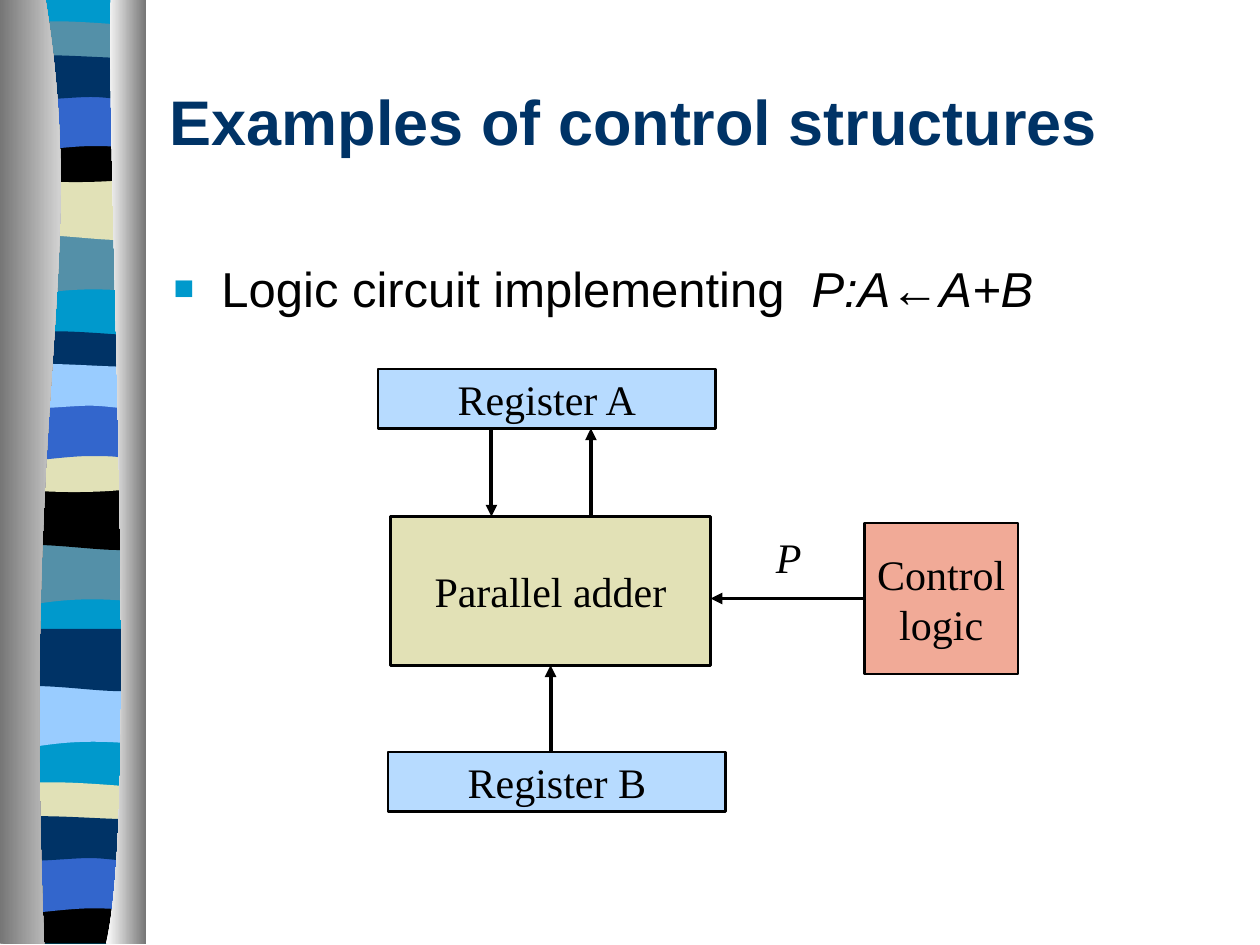
import pptx
import pptx.util
import pptx.dml.color
import pptx.enum.shapes
import pptx.enum.text
import pptx.oxml.ns
from lxml import etree

Inches = pptx.util.Inches
Pt = pptx.util.Pt
qn = pptx.oxml.ns.qn
ALIGN = pptx.enum.text.PP_ALIGN
ANCHOR = pptx.enum.text.MSO_ANCHOR

# Outlines of the ribbon bands: a one-point step is a straight line,
# a three-point step is a Bezier curve (two controls and an end)
ROLL = [[(1.14, 1.85)], [(1.14, 2.32)],
        [(0.39, 2.24), (0.24, 2.4), (0.06, 2.32)], [(0.06, 1.85)]]
SWING = [[(1.14, 1.41)], [(1.14, 1.88)],
         [(0.96, 1.96), (0.39, 1.82), (0.06, 1.88)], [(0.06, 1.41)]]
CREST = [[(1.14, 0.21)], [(1.14, 0.45)],
         [(0.96, 0.49), (0.24, 0.49), (0.06, 0.45)], [(0.06, 0.21)],
         [(0.12, 0.16), (0.29, 0.17), (0.47, 0.17)],
         [(0.65, 0.17), (1, 0.2), (1.14, 0.21)]]
BOWL = [[(1.14, 1.08)], [(1.14, 1.4)],
        [(0.96, 1.46), (0.24, 1.46), (0.06, 1.4)], [(0.06, 1.08)],
        [(0.72, 1.13), (0.91, 1.08), (1.14, 1.08)]]
ARCH = [[(1.14, 0.74)], [(1.14, 1.21)],
        [(0.97, 1.16), (0.9, 1.16), (0.72, 1.16)],
        [(0.54, 1.16), (0.22, 1.21), (0.06, 1.21)], [(0.06, 0.74)]]
RIPPLE = [[(1.14, 0.46)], [(1.14, 0.77)],
          [(1.07, 0.82), (0.9, 0.77), (0.72, 0.77)],
          [(0.54, 0.77), (0.17, 0.82), (0.06, 0.77)], [(0.06, 0.46)],
          [(0.21, 0.41), (0.79, 0.46), (0.97, 0.46)],
          [(1.15, 0.46), (1.1, 0.46), (1.14, 0.46)]]
LAST = [[(1.14, 1.08)], [(1.14, 1.45)], [(0.06, 1.45)]] + BOWL[3:]

# Bands from back to front: outline, colour, shift right, shift down
BANDS = [
    (ROLL, "5490A8", 0, 0), (SWING, "E1E1B7", 0, 0), (CREST, "5490A8", 0, 0),
    (BOWL, "000000", 0, 0), (ARCH, "3366CC", 0, 0), (RIPPLE, "003366", 0, 0),
    (ROLL, "5490A8", -0.01, 2.46), (SWING, "000000", -0.01, 2.46),
    (CREST, "003366", -0.01, 2.46), (BOWL, "E1E1B7", -0.01, 2.46),
    (ARCH, "3366CC", -0.01, 2.46), (RIPPLE, "99CCFF", -0.01, 2.45),
    (ROLL, "99CCFF", 0, 3.59), (SWING, "003366", 0, 3.58),
    (CREST, "E1E1B7", -0.01, 6.04), (LAST, "000000", -0.01, 6.04),
    (ARCH, "3366CC", -0.01, 6.05), (RIPPLE, "003366", -0.01, 6.04),
]


def color(hex_value):
    return pptx.dml.color.RGBColor.from_string(hex_value)


def add_outline(group, steps, right=0, down=0):
    points = [(Inches(x + right), Inches(y + down)) for step in steps for x, y in step]
    builder = group.shapes.build_freeform(*points[0])
    builder.add_line_segments(points[1:], close=True)
    outline = builder.convert_to_shape()
    outline.shadow.inherit = False
    outline.line.fill.background()

    # Merge the three points of each curved step into one Bezier segment
    segments = iter(list(outline._element.iter(qn("a:lnTo"))))
    for step in steps[1:]:
        parts = [next(segments) for _ in step]
        if len(parts) == 3:
            bezier = etree.Element(qn("a:cubicBezTo"))
            parts[0].addprevious(bezier)
            for part in parts:
                bezier.append(part[0])
                part.getparent().remove(part)
    return outline


def fill_solid(shape, hex_value):
    shape.fill.solid()
    shape.fill.fore_color.rgb = color(hex_value)


def write(shape, text, size, font="Times New Roman", ink="000000", bold=False,
          italic=False, align=ALIGN.LEFT, anchor=ANCHOR.TOP, wrap=True):
    """Add to the first paragraph of a shape; a line feed becomes a line break."""
    frame = shape.text_frame
    frame.word_wrap = wrap
    frame.vertical_anchor = anchor
    paragraph = frame.paragraphs[0]
    paragraph.alignment = align
    for number, line in enumerate(text.split("\n")):
        if number:
            paragraph.add_line_break()
        run = paragraph.add_run()
        run.text = line
        run.font.name, run.font.size = font, Pt(size)
        run.font.bold, run.font.italic = bold, italic
        run.font.color.rgb = color(ink)


def add_text_box(slide, box):
    return slide.shapes.add_textbox(*map(Inches, box))


def add_ribbon(slide, box):
    left, top, width, height = box
    right, bottom = left + width, top + height
    ribbon = slide.shapes.add_group_shape()

    # Backdrop and coloured bands
    backdrop = add_outline(ribbon, [[(1.14, top)], [(1.14, bottom)],
                                    [(0.06, bottom)], [(0.06, top)]])
    fill_solid(backdrop, "0099CC")
    for steps, fill, shift_right, shift_down in BANDS:
        fill_solid(add_outline(ribbon, steps, shift_right, shift_down), fill)

    # Grey curtains on both sides
    left_edge = [[(0.36, top)], [(0.71, 2.16), (0.17, 2.96), (0.35, bottom)]]
    right_edge = [[(0.88, top)], [(0.84, 1.25), (1.11, 6.46), (0.84, bottom)]]
    for edge, side, shades in ((left_edge, left, ("767676", "FFFFFF")),
                               (right_edge, right, ("FFFFFF", "767676"))):
        curtain = add_outline(ribbon, edge + [[(side, bottom)], [(side, top)]])
        curtain.fill.gradient()
        curtain.fill.gradient_angle = 0
        for stop, shade in zip(curtain.fill.gradient_stops, shades):
            stop.color.rgb = color(shade)


def add_title(slide, box):
    write(add_text_box(slide, box), "Examples of control structures", 36,
          font="Arial", ink="003366", bold=True, anchor=ANCHOR.MIDDLE)


def add_body(slide, box):
    body = add_text_box(slide, box)
    properties = body.text_frame.paragraphs[0]._p.get_or_add_pPr()
    properties.set("marL", str(Inches(0.38)))
    properties.set("indent", str(Inches(-0.38)))
    bullet_color = etree.SubElement(properties, qn("a:buClr"))
    etree.SubElement(bullet_color, qn("a:srgbClr"), val="0099CC")
    etree.SubElement(properties, qn("a:buSzPct"), val="70000")
    etree.SubElement(properties, qn("a:buFont"), typeface="Arial")
    etree.SubElement(properties, qn("a:buChar"), char="■")
    write(body, "Logic circuit implementing  ", 28, font="Arial")
    write(body, "P:A←A+B", 28, font="Arial", italic=True)


def add_block(slide, box, label, fill):
    block = slide.shapes.add_shape(
        pptx.enum.shapes.MSO_SHAPE.RECTANGLE, *map(Inches, box))
    block.shadow.inherit = False
    fill_solid(block, fill)
    block.line.color.rgb = color("000000")
    block.line.width = Pt(1.5)
    write(block, label, 24, align=ALIGN.CENTER, anchor=ANCHOR.MIDDLE, wrap=False)
    return block


def add_arrow(slide, start, end):
    arrow = slide.shapes.add_connector(
        pptx.enum.shapes.MSO_CONNECTOR.STRAIGHT, *map(Inches, start + end))
    arrow.line.color.rgb = color("000000")
    arrow.line.width = Pt(2.25)
    etree.SubElement(arrow.line._get_or_add_ln(), qn("a:tailEnd"), type="triangle")
    etree.SubElement(arrow._element.spPr, qn("a:effectLst"))
    return arrow


def add_circuit(slide, box):
    left, top, width, height = box

    def place(x, y):
        return left + x, top + y

    # Registers, adder and control logic
    add_block(slide, (*place(0, 0), 2.68, 0.47), "Register A", "B7DBFF")
    adder = add_block(slide, (*place(0.1, 1.17), 2.54, 1.18), "Parallel adder", "E2E1B6")
    control = add_block(slide, (*place(width - 1.22, 1.22), 1.22, 1.2),
                        "Control\nlogic", "F1AA97")
    add_block(slide, (*place(0.08, height - 0.47), 2.68, 0.47), "Register B", "B7DBFF")

    # Data and control paths
    control_path = add_arrow(slide, place(3.86, 1.82), place(2.64, 1.82))
    control_path.begin_connect(control, 1)
    operand_path = add_arrow(slide, place(1.37, height - 0.47), place(1.37, 2.35))
    operand_path.end_connect(adder, 2)
    add_arrow(slide, place(0.9, 0.48), place(0.9, 1.17))
    add_arrow(slide, place(1.69, 1.17), place(1.69, 0.47))
    write(add_text_box(slide, (*place(3.06, 1.24), 0.61, 0.5)), "P", 24, italic=True)


def main():
    deck = pptx.Presentation()
    deck.slide_width, deck.slide_height = Inches(10), Inches(7.5)
    slide = deck.slides.add_slide(deck.slide_layouts[6])
    add_ribbon(slide, (0, -0.01, 1.16, 7.5))
    add_title(slide, (1.25, 0.33, 8.5, 1.25))
    add_body(slide, (1.28, 2, 8.5, 4.67))
    add_circuit(slide, (3, 2.93, 5.08, 3.51))
    deck.save("out.pptx")


if __name__ == "__main__":
    main()
